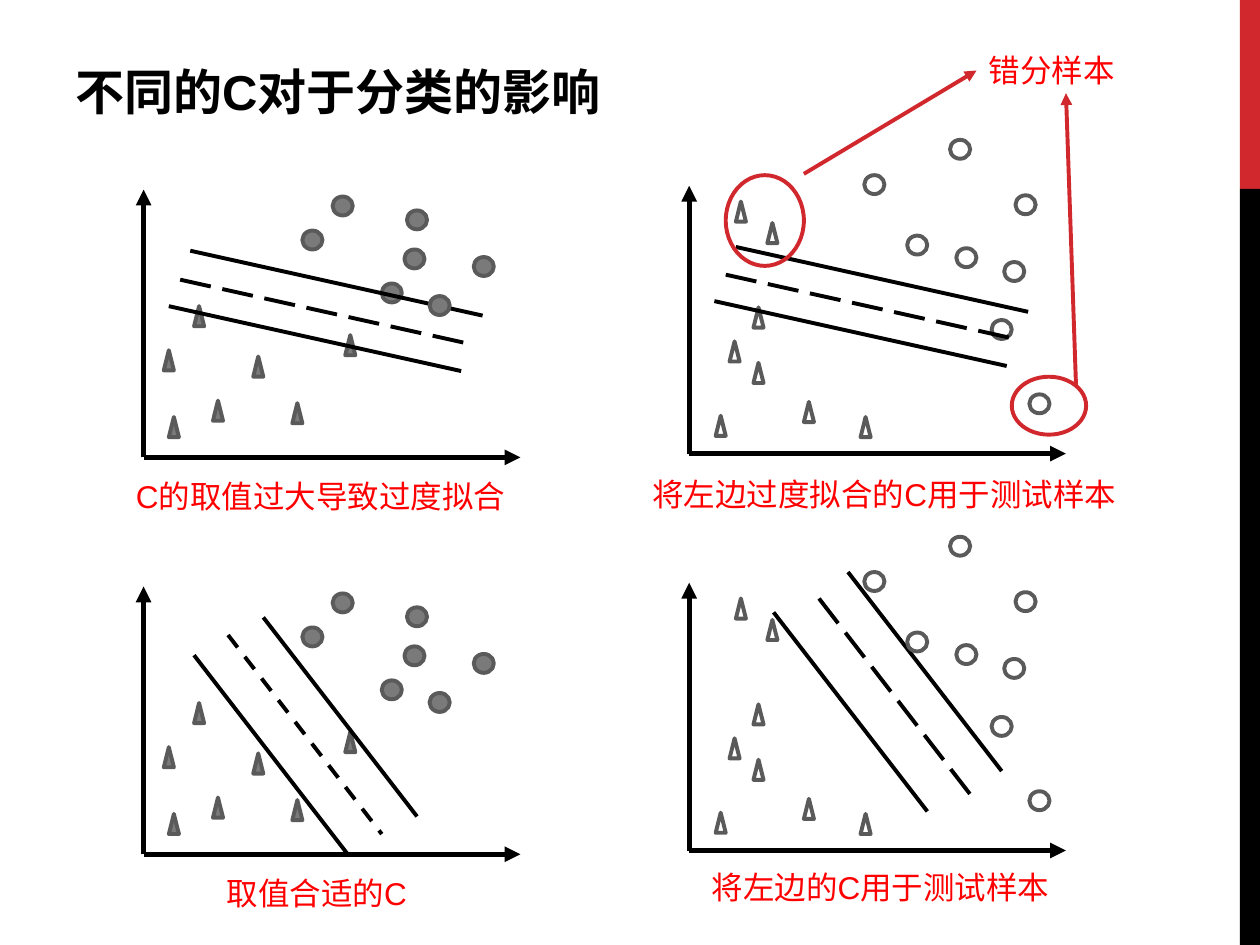
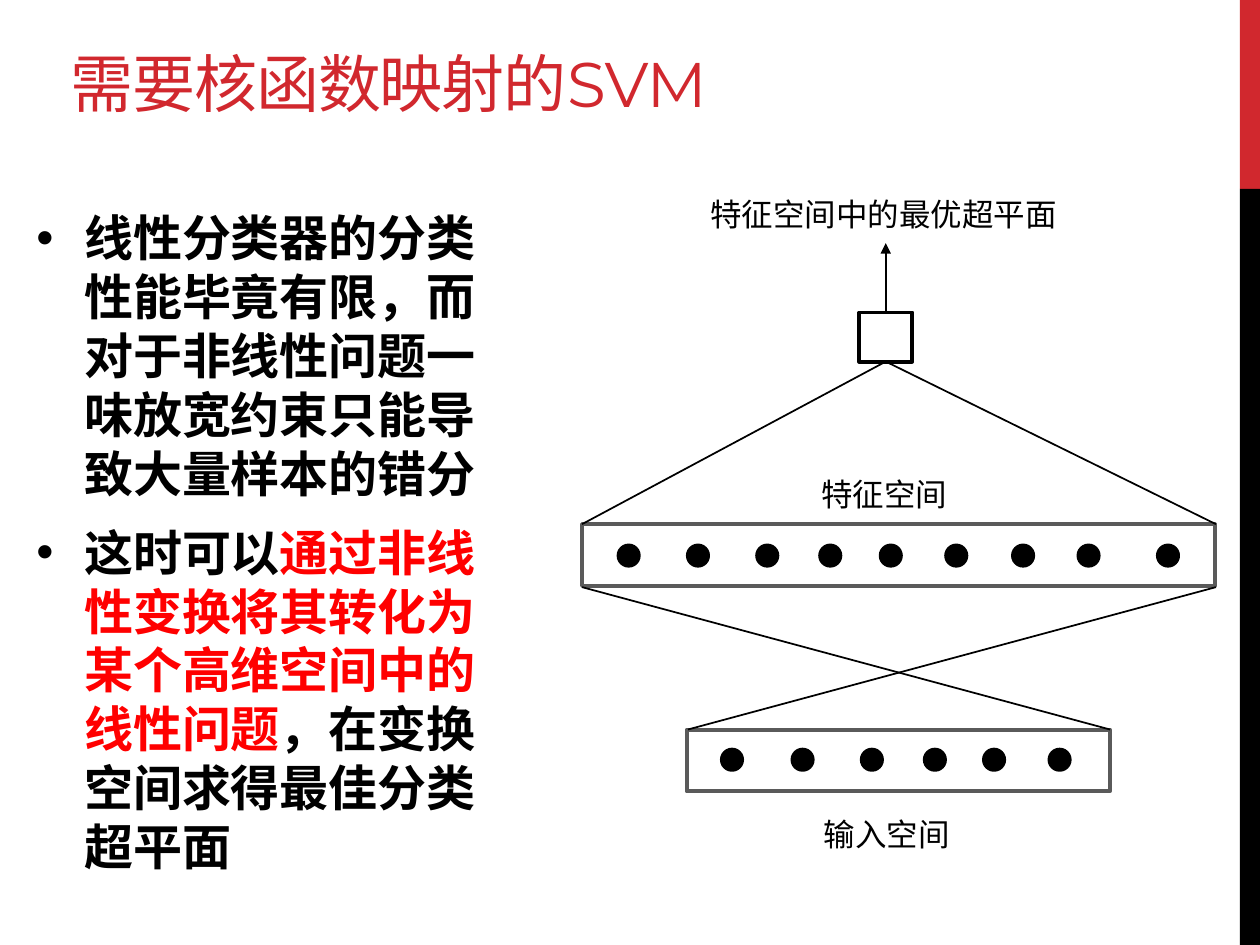
from lxml.etree import SubElement
from pptx import Presentation
from pptx.dml.color import RGBColor
from pptx.enum.dml import MSO_LINE
from pptx.enum.shapes import MSO_CONNECTOR, MSO_SHAPE
from pptx.enum.text import MSO_ANCHOR
from pptx.oxml.ns import qn
from pptx.util import Inches, Pt

COLORS = {"accent": "D1282E", "black": "000000", "red": "FF0000",
          "marker": "7A7A7A", "outline": "5A5A5A"}

deck = Presentation()
deck.slide_width, deck.slide_height = Inches(10), Inches(7.5)
CELL = deck.slide_width / 100  # grid of 100 columns by 75 rows


def add_figure(shapes, kind, left, top, width, height, fill=None, outline=None):
    """Place a preset shape by grid columns and rows."""
    figure = shapes.add_shape(kind, *[round(n * CELL) for n in (left, top, width, height)])
    figure.shadow.inherit = False
    if fill:
        figure.fill.solid()
        figure.fill.fore_color.rgb = RGBColor.from_string(COLORS[fill])
    else:
        figure.fill.background()
    if outline:
        figure.line.color.rgb = RGBColor.from_string(COLORS[outline])
        figure.line.width = Pt(2.25)
    else:
        figure.line.fill.background()
    return figure


def add_line(shapes, start, end, color="black", weight=2.25, dash=None, arrow=False):
    """Draw a straight line between two (column, row) points."""
    line = shapes.add_connector(MSO_CONNECTOR.STRAIGHT,
                                *[round(n * CELL) for n in (*start, *end)])
    line.line.color.rgb = RGBColor.from_string(COLORS[color])
    line.line.width = Pt(weight)
    if dash:
        line.line.dash_style = dash
    if arrow:
        SubElement(line.line._get_or_add_ln(), qn("a:tailEnd"), type="triangle")
    SubElement(line._element.spPr, qn("a:effectLst"))
    return line


# Pages with the band on the right edge
pages = []
for number in range(2):
    page = deck.slides.add_slide(deck.slide_layouts[6])
    add_figure(page.shapes, MSO_SHAPE.RECTANGLE, 98.4, 0, 1.6, 15, "accent")
    add_figure(page.shapes, MSO_SHAPE.RECTANGLE, 98.4, 15, 1.6, 60, "black")
    pages.append(page)
effect_page, kernel_page = pages

# Page 1: training samples on the left, test samples on the right
ROW_STEP = 31.5
AXIS_WIDTH, AXIS_HEIGHT = 29.9, 21.25
SOLID, DASH, LONG_DASH = None, MSO_LINE.DASH, MSO_LINE.LONG_DASH
FLAT, STEEP = (23.2, 5.15), (12.2, 15.8)
columns = [
    {"origin": (11.4, 36.3), "fill": "marker",
     "triangles": [(15.4, 24.3), (20.1, 28.3), (27.4, 26.6), (13, 27.8),
                   (16.9, 31.8), (23.2, 32), (13.4, 33.1)],
     "circles": [(30.3, 22.5), (26.4, 15.6), (32.3, 16.7), (32.1, 19.8),
                 (34.1, 23.5), (24, 18.3), (37.6, 20.4)],
     "boundaries": [
         (FLAT, [(13.4, 24.3, SOLID), (15.1, 19.9, SOLID), (14.3, 22.2, LONG_DASH)]),
         (STEEP, [(15.4, 52, SOLID), (18.1, 50.4, DASH), (20.9, 49, SOLID)])]},
    {"origin": (54.7, 36), "fill": None,
     "triangles": [(59.8, 24.4), (58.4, 16), (63.8, 31.9), (60.9, 17.7),
                   (57.9, 27.1), (56.8, 33), (59.8, 28.8), (68.3, 33.1)],
     "circles": [(78.7, 25.4), (75.4, 11.1), (68.6, 13.9), (80.6, 15.5),
                 (72, 18.7), (75.9, 19.7), (79.7, 20.8), (81.7, 31.3)],
     "boundaries": [
         (FLAT, [(56.7, 23.9, SOLID), (58.4, 19.6, SOLID), (57.6, 21.8, LONG_DASH)]),
         (STEEP, [(61.4, 48.6, SOLID), (67.3, 45.4, SOLID), (65, 47.5, LONG_DASH)])]},
]
shapes = effect_page.shapes
for column in columns:
    for row, (run, starts) in enumerate(column["boundaries"]):
        drop = row * ROW_STEP
        x, y = column["origin"][0], column["origin"][1] + drop
        for tip in ((x + AXIS_WIDTH, y), (x, y - AXIS_HEIGHT)):
            add_line(shapes, (x, y), tip, weight=3, arrow=True)
        for left, top in column["triangles"]:
            add_figure(shapes, MSO_SHAPE.ISOSCELES_TRIANGLE, left, top + drop,
                       0.8, 1.6, column["fill"], "outline")
        for index, (left, top) in enumerate(column["circles"]):
            add_figure(shapes, MSO_SHAPE.OVAL, left, top + drop,
                       1.6, 1.5, column["fill"], "outline")
            if index == 0:  # the boundaries cross the first circle
                for x_start, y_start, dash in starts:
                    add_line(shapes, (x_start, y_start),
                             (x_start + run[0], y_start + run[1]), dash=dash)

# Page 1: misclassified samples
for ring in ((57.6, 13.9, 6.2, 7.2), (80.3, 29.9, 5.9, 4.6)):
    add_figure(shapes, MSO_SHAPE.OVAL, *ring, outline="accent")
for start, end in (((63.8, 13.8), (77.5, 5.6)), ((85.4, 30.6), (84.6, 7.4))):
    add_line(shapes, start, end, "accent", arrow=True)

# Page 2: input and feature layers
layers = [
    ((54.5, 57.9, 33.6, 4.9), 59.5, [57.3, 62.9, 68.4, 73.4, 78.1, 83.3]),
    ((46.2, 41.6, 50.2, 4.9), 43.3,
     [49.1, 54.6, 60.1, 65.1, 69.9, 75.1, 80.4, 85.6, 91.9]),
]
for frame, dot_top, dot_lefts in layers:
    layer = kernel_page.shapes.add_group_shape()
    add_figure(layer.shapes, MSO_SHAPE.RECTANGLE, *frame, outline="outline")
    for dot_left in dot_lefts:
        add_figure(layer.shapes, MSO_SHAPE.OVAL, dot_left, dot_top, 1.6, 1.6,
                   "black", "black")

# Page 2: output node and links between layers
shapes = kernel_page.shapes
node = add_figure(shapes, MSO_SHAPE.RECTANGLE, 68.2, 24.8, 4.2, 3.9, outline="black")
for start, end in (((88.1, 57.9), (46.2, 46.6)), ((54.6, 57.9), (96.5, 46.6))):
    add_line(shapes, start, end, weight=1)
for corner in ((46.2, 41.6), (96.5, 41.6)):
    add_line(shapes, (70.3, 28.7), corner, weight=1).begin_connect(node, 2)
add_line(shapes, (70.3, 24.8), (70.3, 19.3), weight=1, arrow=True).begin_connect(node, 0)

# Text of both pages: page, place, style, paragraphs of (text, color)
STYLES = {
    "heading": {"font": "Arial", "size": 28, "bold": True},
    "title": {"font": "Montserrat", "size": 36, "bold": False},
    "bullets": {"font": "Arial", "size": 28, "bold": True},
    "label": {"font": "Arial", "size": 18, "bold": False},
}
texts = [
    (effect_page, (5, 4.4, 83.3, 5.6), "heading", [[("不同的C对于分类的影响", "black")]]),
    (effect_page, (9.8, 37.4, 31.3, 4), "label", [[("C的取值过大导致过度拟合", "red")]]),
    (effect_page, (50.8, 37.2, 39.2, 4), "label", [[("将左边过度拟合的C用于测试样本", "red")]]),
    (effect_page, (17, 68.9, 16.5, 4), "label", [[("取值合适的C", "red")]]),
    (effect_page, (55.5, 68.4, 29.1, 4), "label", [[("将左边的C用于测试样本", "red")]]),
    (effect_page, (77.5, 3.6, 12.1, 4), "label", [[("错分样本", "red")]]),
    (kernel_page, (4.6, 1.3, 63.3, 8.7), "title", [[("需要核函数映射的SVM", "accent")]]),
    (kernel_page, (1.9, 16, 40.7, 53.6), "bullets", [
        [("线性分类器的分类性能毕竟有限，而对于非线性问题一味放宽约束只能导致大量样本的错分", "black")],
        [("这时可以", "black"),
         ("通过非线性变换将其转化为某个高维空间中的线性问题", "red"),
         ("，在变换空间求得最佳分类超平面", "black")]]),
    (kernel_page, (55.4, 15, 29.8, 4), "label", [[("特征空间中的最优超平面", "black")]]),
    (kernel_page, (64.2, 37.2, 12.1, 4), "label", [[("特征空间", "black")]]),
    (kernel_page, (64.4, 64.2, 12.1, 4), "label", [[("输入空间", "black")]]),
]
for page, place, style_name, paragraphs in texts:
    style = STYLES[style_name]
    box = page.shapes.add_textbox(*[round(n * CELL) for n in place])
    frame = box.text_frame
    frame.word_wrap = True
    frame.vertical_anchor = MSO_ANCHOR.BOTTOM if style_name == "title" else MSO_ANCHOR.TOP
    for index, spans in enumerate(paragraphs):
        para = frame.add_paragraph() if index else frame.paragraphs[0]
        if style_name == "bullets":
            properties = para._p.get_or_add_pPr()
            indent = round(3.8 * CELL)
            properties.set("marL", str(indent))
            properties.set("indent", str(-indent))
            SubElement(properties, qn("a:buFont"), typeface="Arial")
            SubElement(properties, qn("a:buChar"), char="•")
            para.space_after = Pt(6)
            if index:
                para.space_before = Pt(5.6)
        for text, color in spans:
            span = para.add_run()
            span.text = text
            span.font.name = style["font"]
            span.font.size = Pt(style["size"])
            span.font.bold = style["bold"]
            span.font.color.rgb = RGBColor.from_string(COLORS[color])
            if style_name == "title":
                span._r.get_or_add_rPr().set("spc", "-60")

deck.save("out.pptx")
